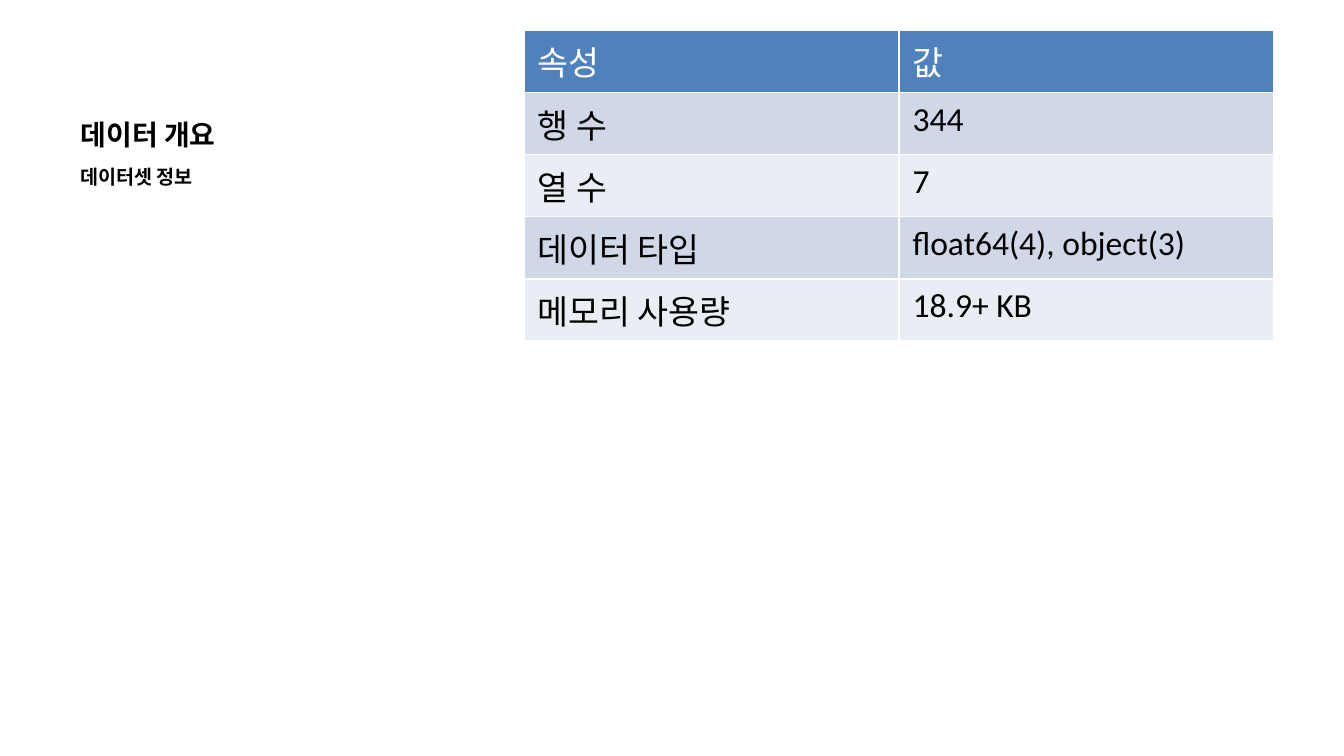
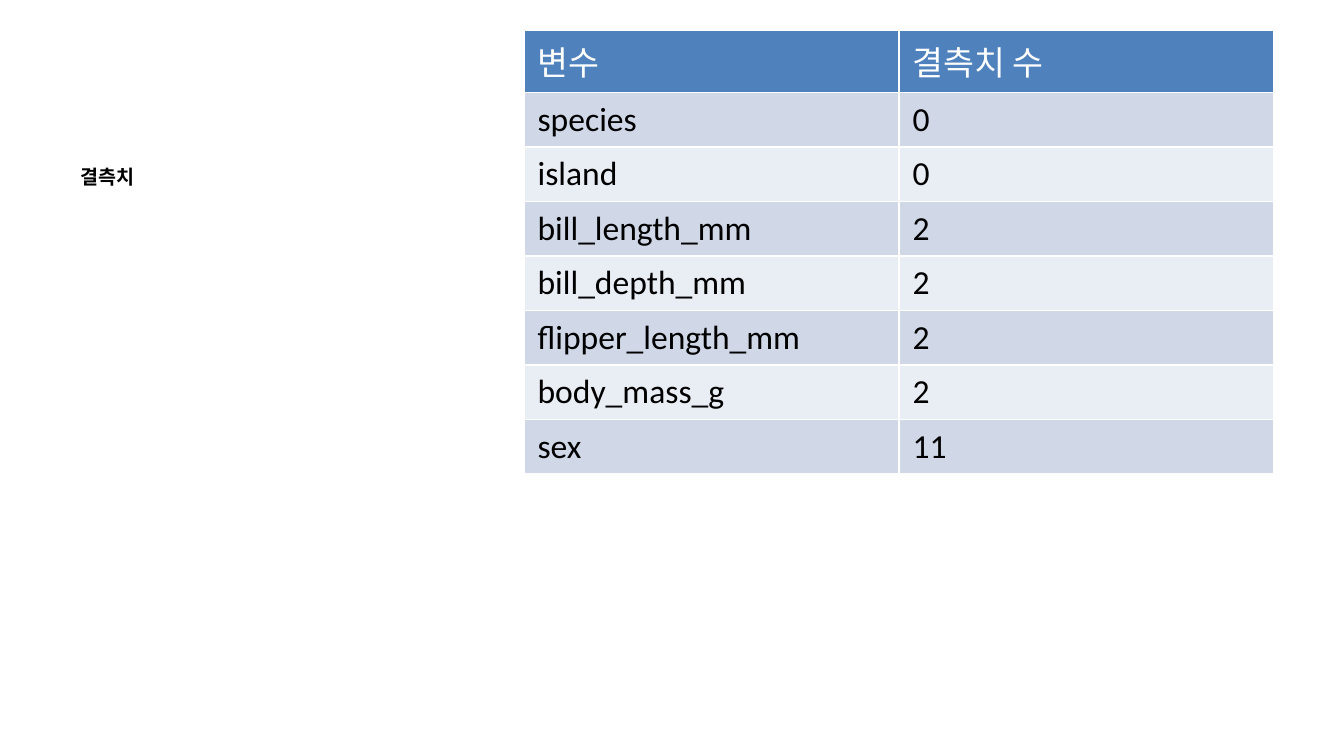
import pptx
import pptx.util
import pptx.dml.color
import pptx.enum.text

Inches = pptx.util.Inches
COLORS = {"head": "4F81BD", "odd": "D0D8E8", "even": "E9EDF4",
          "white": "FFFFFF", "black": "000000"}
FONT = "Calibri"
LEFT, TOP, WIDE = Inches(0.5), pptx.util.Pt(16.2), Inches(3.29)
HEAD = pptx.util.Pt(33.3)

PAGES = [
    {"title": "데이터 개요", "note": "데이터셋 정보", "high": HEAD, "rows": [
        ("속성", "값"),
        ("행 수", "344"),
        ("열 수", "7"),
        ("데이터 타입", "float64(4), object(3)"),
        ("메모리 사용량", "18.9+ KB")]},
    {"title": None, "note": "결측치", "high": pptx.util.Pt(29.2), "rows": [
        ("변수", "결측치 수"),
        ("species", "0"),
        ("island", "0"),
        ("bill_length_mm", "2"),
        ("bill_depth_mm", "2"),
        ("flipper_length_mm", "2"),
        ("body_mass_g", "2"),
        ("sex", "11")]},
]


def color(name):
    return pptx.dml.color.RGBColor.from_string(COLORS[name])


def write(frame, text, size, ink, bold):
    """Set the text of a frame and format its only run."""
    frame.text = text
    font = frame.paragraphs[0].runs[0].font
    font.name, font.size, font.bold = FONT, pptx.util.Pt(size), bold
    font.color.rgb = color(ink)


deck = pptx.Presentation()
deck.slide_width = Inches(10)
deck.slide_height = deck.slide_width * 9 // 16

for page in PAGES:
    slide = deck.slides.add_slide(deck.slide_layouts[5 if page["title"] else 6])

    if page["title"]:
        title = slide.shapes.title
        title.left, title.top, title.width, title.height = LEFT, TOP, WIDE, Inches(0.95)
        write(title.text_frame, page["title"], 15, "black", True)
        title.text_frame.vertical_anchor = pptx.enum.text.MSO_ANCHOR.BOTTOM
        title.text_frame.paragraphs[0].alignment = pptx.enum.text.PP_ALIGN.LEFT

    note = slide.shapes.add_textbox(LEFT, Inches(1.18), WIDE, Inches(3.85)).text_frame
    note.word_wrap = True
    write(note, page["note"], 10.5, "black", True)
    note.paragraphs[0].space_before = pptx.util.Pt(30)

    rows = page["rows"]
    tall = HEAD + page["high"] * (len(rows) - 1)
    table = slide.shapes.add_table(len(rows), 2, Inches(3.9), TOP, Inches(5.58), tall).table
    for r, row in enumerate(rows):
        table.rows[r].height = page["high"] if r else HEAD
        fill = "head" if r == 0 else "odd" if r % 2 else "even"
        for c, text in enumerate(row):
            cell = table.cell(r, c)
            cell.fill.solid()
            cell.fill.fore_color.rgb = color(fill)
            write(cell.text_frame, text, 18, "black" if r else "white", False)

deck.save("out.pptx")
